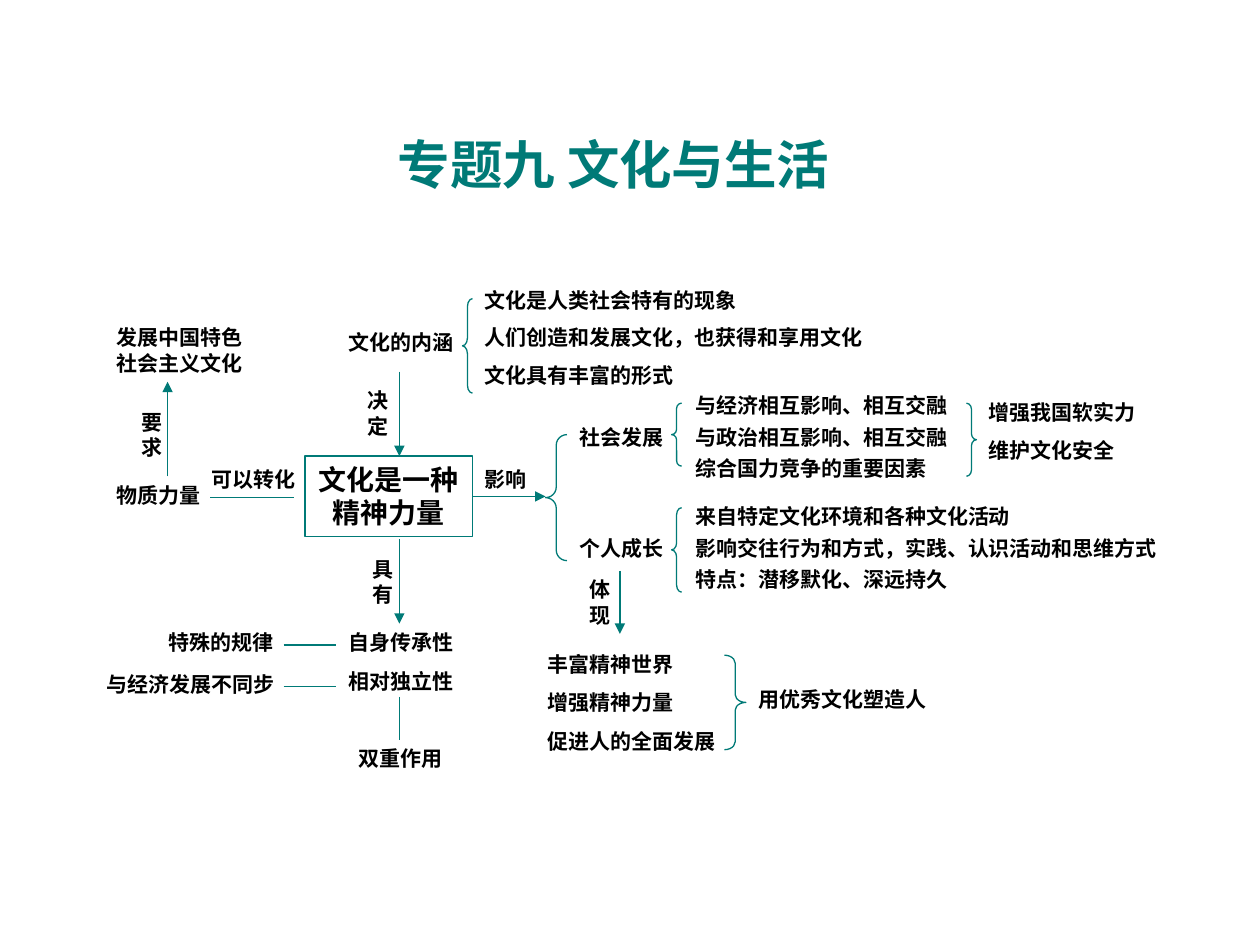
from dataclasses import dataclass

from lxml import etree
from pptx import Presentation
from pptx import util as u
from pptx.dml import color
from pptx.enum import shapes, text
from pptx.oxml import ns


@dataclass(frozen=True)
class Theme:
    accent: color.RGBColor = color.RGBColor(0x00, 0x7A, 0x77)
    ink: color.RGBColor = color.RGBColor(0x00, 0x00, 0x00)
    title_font: str = "Arial"
    body_font: str = "Times New Roman"
    title_size: int = 30
    core_size: int = 16
    label_size: int = 12
    paragraph_gap: float = 7.5
    line_width: float = 0.75


def apply(target, values):
    for name, value in values.items():
        setattr(target, name, value)


class ConceptMap:
    def __init__(self, slide, theme):
        self.slide = slide
        self.theme = theme
        self.title_format = {
            "name": theme.title_font, "size": u.Pt(theme.title_size), "bold": True,
        }
        self.core_format = {
            "name": theme.body_font, "size": u.Pt(theme.core_size), "bold": True,
        }
        self.label_format = {**self.core_format, "size": u.Pt(theme.label_size)}

    def place(self, shape, left, top, width, height):
        apply(shape, {
            "left": u.Inches(left), "top": u.Inches(top),
            "width": u.Inches(width), "height": u.Inches(height),
        })

    def set_text(self, shape, lines, font_format, font_color, align):
        frame = shape.text_frame
        apply(frame, {
            "word_wrap": True,
            "auto_size": text.MSO_AUTO_SIZE.SHAPE_TO_FIT_TEXT,
            "vertical_anchor": text.MSO_ANCHOR.TOP,
        })
        frame.text = "\n".join(lines)
        for index, paragraph in enumerate(frame.paragraphs):
            paragraph.alignment = align
            paragraph.space_before = u.Pt(self.theme.paragraph_gap if index else 0)
            apply(paragraph.font, font_format)
            paragraph.font.color.rgb = font_color

    def outline(self, shape):
        shape.line.color.rgb = self.theme.accent
        shape.line.width = u.Pt(self.theme.line_width)

    def title(self, words, left, top, width, height):
        shape = self.slide.shapes.title
        self.place(shape, left, top, width, height)
        self.set_text(shape, [words], self.title_format, self.theme.accent,
                      text.PP_ALIGN.CENTER)

    def shape(self, preset, left, top, width, height):
        shape = self.slide.shapes.add_shape(
            preset, u.Inches(left), u.Inches(top), u.Inches(width), u.Inches(height))
        shape.shadow.inherit = False
        shape.fill.background()
        self.outline(shape)
        return shape

    def core(self, words, left, top, width, height):
        shape = self.shape(shapes.MSO_SHAPE.RECTANGLE, left, top, width, height)
        self.set_text(shape, [words], self.core_format, self.theme.ink,
                      text.PP_ALIGN.CENTER)
        return shape

    def label(self, lines, left, top, width, height=0.3, align=text.PP_ALIGN.LEFT):
        shape = self.slide.shapes.add_textbox(
            u.Inches(left), u.Inches(top), u.Inches(width), u.Inches(height))
        self.set_text(shape, lines, self.label_format, self.theme.ink, align)

    def stack(self, left, top, pitch, rows):
        for index, (words, width) in enumerate(rows):
            self.label([words], left, top + index * pitch, width)

    def brace(self, preset, left, top, width, height):
        shape = self.shape(preset, left, top, width, height)
        shape.adjustments[0] = height / 12 / width

    def line(self, start, end, arrow=False, source=None, side=3):
        connector = self.slide.shapes.add_connector(
            shapes.MSO_CONNECTOR.STRAIGHT, *map(u.Inches, start + end))
        if source is not None:
            connector.begin_connect(source, side)
        self.outline(connector)
        properties = connector.element.spPr
        if arrow:
            stroke = properties.find(ns.qn("a:ln"))
            etree.SubElement(stroke, ns.qn("a:tailEnd"), type="triangle")
        etree.SubElement(properties, ns.qn("a:effectLst"))


def main():
    presentation = Presentation()
    presentation.slide_width = u.Inches(10)
    presentation.slide_height = u.Inches(7.5)
    slide = presentation.slides.add_slide(presentation.slide_layouts[5])
    concept_map = ConceptMap(slide, Theme())

    concept_map.title("专题九 文化与生活", 2.83, 1, 4.08, 0.6)
    core = concept_map.core("文化是一种精神力量", 2.42, 3.62, 1.33, 0.64)

    for lines, *box in (
        (["文化的内涵"], 2.67, 2.57, 1.08),
        (["发展中国特色社会主义文化"], 0.83, 2.53, 1.25, 0.5),
        (["物质力量"], 0.83, 3.78, 0.92),
        (["可以转化"], 1.58, 3.65, 1),
        (["影响"], 3.75, 3.65, 0.67),
        (["社会发展"], 4.5, 3.32, 0.92),
        (["个人成长"], 4.5, 4.2, 0.92),
        (["增强我国软实力", "维护文化安全"], 7.75, 3.12, 1.42, 0.61),
        (["自身传承性", "相对独立性"], 2.67, 4.95, 1.08, 0.61),
        (["双重作用"], 2.75, 5.87, 0.92),
        (["丰富精神世界", "增强精神力量", "促进人的全面发展"], 4.25, 5.12, 1.67, 0.91),
        (["用优秀文化塑造人"], 5.92, 5.4, 1.58),
        (["与经济发展不同步"], 0.75, 5.28, 1.58),
    ):
        concept_map.label(lines, *box)

    for words, *box in (
        ("特殊的规律", 1.17, 4.95, 1.17, 0.3),
        ("要求", 1, 3.2, 0.42, 0.5),
        ("决定", 2.75, 3.03, 0.5, 0.5),
        ("具有", 2.83, 4.37, 0.42, 0.5),
        ("体现", 4.58, 4.53, 0.33, 0.5),
    ):
        concept_map.label([words], *box, align=text.PP_ALIGN.CENTER)

    concept_map.stack(3.75, 2.23, 0.3, (
        ("文化是人类社会特有的现象", 2.33),
        ("人们创造和发展文化，也获得和享用文化", 3.25),
        ("文化具有丰富的形式", 2),
    ))
    concept_map.stack(5.42, 3.07, 0.25, (
        ("与经济相互影响、相互交融", 2.25),
        ("与政治相互影响、相互交融", 2.25),
        ("综合国力竞争的重要因素", 2.17),
    ))
    concept_map.stack(5.42, 3.95, 0.25, (
        ("来自特定文化环境和各种文化活动", 2.75),
        ("影响交往行为和方式，实践、认识活动和思维方式", 3.92),
        ("特点：潜移默化、深远持久", 2.5),
    ))

    left_brace, right_brace = shapes.MSO_SHAPE.LEFT_BRACE, shapes.MSO_SHAPE.RIGHT_BRACE
    for preset, *box in (
        (left_brace, 3.67, 2.37, 0.08, 0.75),
        (left_brace, 4.33, 3.45, 0.17, 1),
        (left_brace, 5.33, 3.2, 0.08, 0.5),
        (left_brace, 5.33, 4.03, 0.08, 0.67),
        (right_brace, 7.67, 3.2, 0.08, 0.58),
        (right_brace, 5.75, 5.2, 0.17, 0.75),
    ):
        concept_map.brace(preset, *box)

    for start, end in (
        ((3.17, 2.95), (3.17, 3.62)),
        ((3.17, 4.28), (3.17, 4.95)),
        ((4.92, 4.53), (4.92, 5.03)),
        ((1.33, 3.78), (1.33, 3.03)),
    ):
        concept_map.line(start, end, arrow=True)
    concept_map.line((3.75, 3.94), (4.33, 3.94), arrow=True, source=core)

    for start, end in (
        ((2.33, 3.95), (1.67, 3.95)),
        ((2.25, 5.12), (2.67, 5.12)),
        ((2.25, 5.45), (2.67, 5.45)),
        ((3.17, 5.53), (3.17, 5.87)),
    ):
        concept_map.line(start, end)

    presentation.save("out.pptx")


if __name__ == "__main__":
    main()
